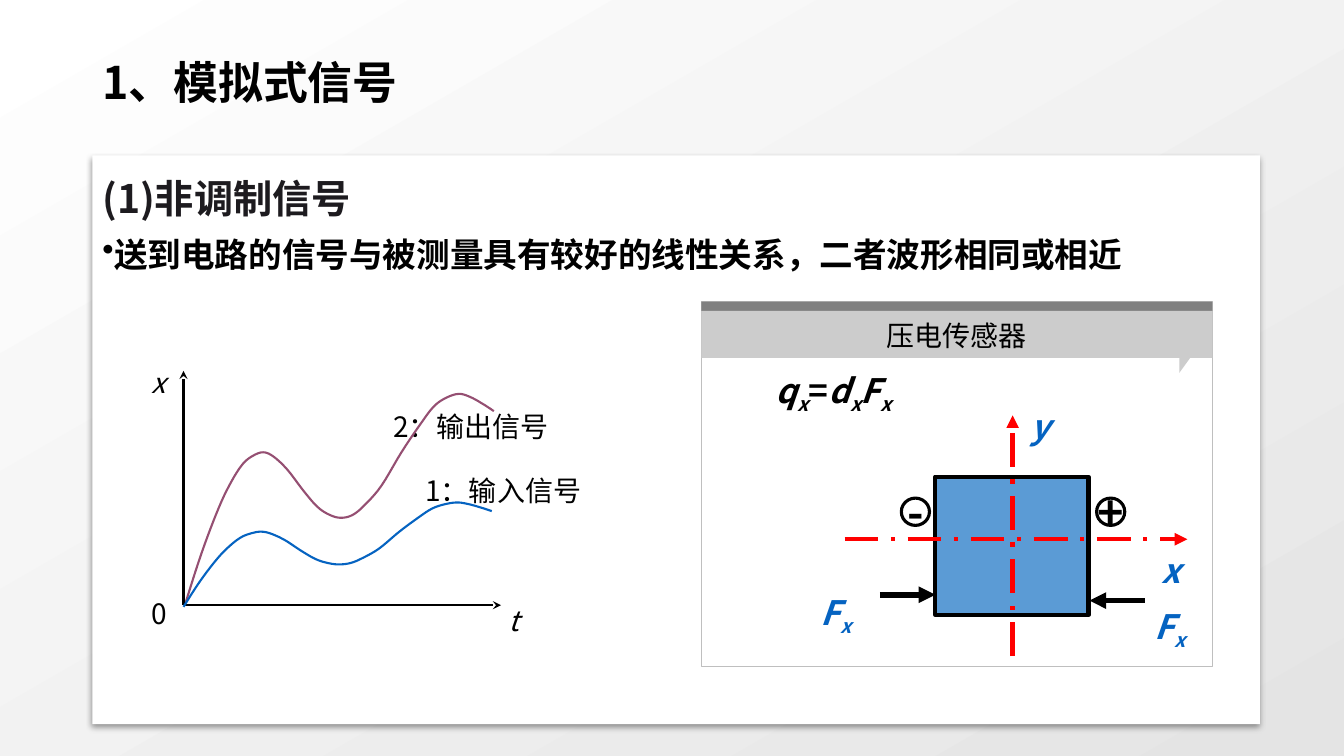
from dataclasses import dataclass

from lxml import etree
from pptx import Presentation
from pptx.dml.color import RGBColor
from pptx.enum.dml import MSO_LINE
from pptx.enum.shapes import MSO_CONNECTOR, MSO_SHAPE
from pptx.enum.text import MSO_ANCHOR, PP_ALIGN
from pptx.oxml.ns import qn
from pptx.util import Inches, Pt

RECTANGLE, OVAL = MSO_SHAPE.RECTANGLE, MSO_SHAPE.OVAL
STRAIGHT, DASH_DOT = MSO_CONNECTOR.STRAIGHT, MSO_LINE.LONG_DASH_DOT
LEFT, CENTER, JUSTIFY = PP_ALIGN.LEFT, PP_ALIGN.CENTER, PP_ALIGN.JUSTIFY
TOP, MIDDLE = MSO_ANCHOR.TOP, MSO_ANCHOR.MIDDLE

COLUMNS, ROWS = 32, 18
CELL = Inches(7.5) / ROWS
CURVE_STEPS = 5
WAVE = [
    (0, 0), (0.38, 1.18), (0.79, 2.26), (1.1, 2.9), (1.37, 3.31), (1.61, 3.5),
    (1.85, 3.58), (2.09, 3.48), (2.42, 3.17), (2.81, 2.66), (3.14, 2.28), (3.43, 2.09),
    (3.7, 2.02), (3.98, 2.09), (4.27, 2.33), (4.66, 2.78), (5.14, 3.58), (5.57, 4.22),
    (5.9, 4.66), (6.19, 4.87), (6.5, 4.97), (6.77, 4.9), (7.08, 4.73), (7.34, 4.56),
]


@dataclass(frozen=True)
class Theme:
    """Font, colours and type sizes of the slide."""
    font: str = "Noto Sans CJK SC"
    black: str = "000000"
    white: str = "FFFFFF"
    backdrop: str = "E4E4E4"
    heading: str = "1D1B1F"
    border: str = "BFBFBF"
    bar: str = "808080"
    header: str = "CCCCCC"
    output: str = "954F72"
    blue: str = "0563C1"
    crystal: str = "5B9BD5"
    red: str = "FF0000"
    title_size: int = 32
    heading_size: int = 28
    body_size: int = 24
    label_size: int = 20


THEME = Theme()


def cells(*lengths):
    """Turn grid lengths into slide units."""
    return [round(length * CELL) for length in lengths]


def rgb(color):
    """Read a colour of the theme."""
    return RGBColor.from_string(color)


def style_shape(shape, fill=None, line=None, width=1):
    """Set fill and outline and drop the shadow."""
    shape.shadow.inherit = False
    if fill:
        shape.fill.solid()
        shape.fill.fore_color.rgb = rgb(fill)
    else:
        shape.fill.background()
    if line:
        shape.line.color.rgb = rgb(line)
        shape.line.width = Pt(width)
    else:
        shape.line.fill.background()


def add_block(slide, kind, area, fill=None, line=None, width=1):
    """Add a preset shape."""
    shape = slide.shapes.add_shape(kind, *cells(*area))
    style_shape(shape, fill, line, width)
    return shape


def add_outline(slide, points, close, **style):
    """Add a freeform through grid points."""
    corners = [cells(*point) for point in points]
    builder = slide.shapes.build_freeform(*corners[0], scale=1.0)
    builder.add_line_segments(corners[1:], close=close)
    style_shape(builder.convert_to_shape(), **style)


def add_arrow(slide, start, end, color, width, head="triangle", dash=None):
    """Add a straight arrow."""
    arrow = slide.shapes.add_connector(STRAIGHT, *cells(*start, *end))
    arrow.line.color.rgb = rgb(color)
    arrow.line.width = Pt(width)
    if dash:
        arrow.line.dash_style = dash
    properties = arrow._element.spPr
    etree.SubElement(properties.find(qn("a:ln")), qn("a:tailEnd"), type=head)
    etree.SubElement(properties, qn("a:effectLst"))


def write(para, text, size, color=THEME.black, bold=False, italic=False, align=LEFT, spacing=None):
    """Write a paragraph where each letter after an underscore is a subscript."""
    para.alignment = align
    if spacing:
        para.line_spacing = spacing
    font = para.font
    font.size, font.bold = Pt(size), bold
    font.color.rgb = rgb(color)
    font.name = THEME.font
    properties = para._p.get_or_add_pPr().get_or_add_defRPr()
    etree.SubElement(properties, qn("a:ea"), typeface=THEME.font)
    if "_" not in text:
        font.italic = italic
        para.add_run().text = text
        return
    for index, part in enumerate(text.split("_")):
        pieces = [(part[:1], True), (part[1:2], False), (part[2:], False)] if index else [(part, False)]
        for piece, lowered in pieces:
            if piece:
                span = para.add_run()
                span.text = piece
                span.font.italic = italic and piece != "="
                if lowered:
                    span._r.get_or_add_rPr().set("baseline", "-25000")


def add_text(slide, area, text, size, inset=True, wrap=True, anchor=TOP, **style):
    """Add a text box with one paragraph and return its frame."""
    frame = slide.shapes.add_textbox(*cells(*area)).text_frame
    frame.word_wrap, frame.vertical_anchor = wrap, anchor
    if not inset:
        frame.margin_left = frame.margin_top = frame.margin_right = frame.margin_bottom = 0
    write(frame.paragraphs[0], text, size, **style)
    return frame


def smooth_wave(origin, gain):
    """Interpolate the waveform from an origin with a Catmull-Rom spline."""
    knots = [WAVE[0], *WAVE, WAVE[-1]]
    curve = []
    for a, b, c, d in zip(knots, knots[1:], knots[2:], knots[3:]):
        for step in range(CURVE_STEPS):
            t = step / CURVE_STEPS
            curve.append([
                q + t / 2 * (r - p + t * (2 * p - 5 * q + 4 * r - s + t * (3 * (q - r) + s - p)))
                for p, q, r, s in zip(a, b, c, d)
            ])
    curve.append(WAVE[-1])
    return [(origin[0] + x, origin[1] - gain * rise) for x, rise in curve]


def add_panel(slide):
    """Add the shadowed white panel with the title and the body text."""
    area = (2.2, 3.7, 27.8, 13.54)
    panel = add_block(slide, RECTANGLE, area, THEME.white)
    effects = panel._element.spPr.find(qn("a:effectLst"))
    shadow = etree.SubElement(effects, qn("a:outerShdw"), blurRad=str(Pt(4)), dist=str(Pt(3)),
                              dir="5400000", algn="t", rotWithShape="0")
    shade = etree.SubElement(shadow, qn("a:srgbClr"), val=THEME.black)
    etree.SubElement(shade, qn("a:alpha"), val="40000")
    add_text(slide, (2.2, 1.25, 27.8, 1.56), "1、模拟式信号", THEME.title_size,
             anchor=MIDDLE, bold=True, spacing=0.9)
    frame = add_text(slide, area, "(1)非调制信号", THEME.heading_size,
                     color=THEME.heading, bold=True, spacing=1.3)
    point = frame.add_paragraph()
    properties = point._p.get_or_add_pPr()
    properties.set("marL", "0")
    properties.set("indent", "0")
    etree.SubElement(properties, qn("a:buChar"), char="•")
    write(point, "送到电路的信号与被测量具有较好的线性关系，二者波形相同或相近", THEME.body_size,
          bold=True, spacing=1.3)


def add_card(slide):
    """Add the framed card with its header and formula."""
    left, top, width, height = 16.7, 7.18, 12.17, 8.69
    right, bar, base = left + width, 0.22, 8.52
    add_block(slide, RECTANGLE, (left, top, width, height), THEME.white, THEME.border)
    add_block(slide, RECTANGLE, (left, top, width, bar), THEME.bar)
    add_outline(slide, [(left, top + bar), (right, top + bar), (right, base), (28.34, base),
                        (28.08, 8.88), (28.08, base), (left, base)], True, fill=THEME.header)
    add_text(slide, (left, 7.46, width, 0.98), "压电传感器", THEME.label_size, align=CENTER)
    add_text(slide, (18.24, 8.69, 9.58, 1.22), "q_x=d_xF_x", THEME.body_size, bold=True, italic=True)


def add_graph(slide):
    """Add the axes, the two signal curves and their labels."""
    origin = (4.37, 14.41)
    for left, top, width, text, italic in [
        (10.13, 11.28, 4.22, "1：输入信号", False),
        (9.36, 9.74, 4.73, "2：输出信号", False),
        (3.6, 14.2, 0.5, "0", False),
        (3.6, 8.71, 0.48, "x", True),
        (12.1, 14.38, 0.65, "t", True),
    ]:
        add_text(slide, (left, top, width, 0.82), text, THEME.label_size, inset=False,
                 italic=italic, align=JUSTIFY)
    add_outline(slide, smooth_wave((4.42, 14.35), 1), False, line=THEME.output, width=1.5)
    for end in [(origin[0], 8.83), (11.93, origin[1])]:
        add_arrow(slide, origin, end, THEME.black, 1.5, "stealth")
    add_outline(slide, smooth_wave((4.37, 14.45), 0.5), False, line=THEME.blue, width=1.5)


def add_sensor(slide):
    """Add the crystal with its charges, axes and forces."""
    add_block(slide, RECTANGLE, (22.27, 11.35, 3.65, 3.29), THEME.crystal, THEME.black, 3)
    for left, sign in [(26.11, "+"), (21.46, "-")]:
        charge = add_block(slide, OVAL, (left, 11.86, 0.67, 0.65), line=THEME.black, width=2.25)
        charge.text_frame.word_wrap = False
        charge.text_frame.vertical_anchor = MIDDLE
        write(charge.text_frame.paragraphs[0], sign, THEME.title_size, bold=True, align=CENTER)
    for start, end in [((20.11, 12.84), (28.27, 12.84)), ((24.11, 15.62), (24.11, 9.89))]:
        add_arrow(slide, start, end, THEME.red, 3, dash=DASH_DOT)
    for start, end in [((20.95, 14.16), (22.27, 14.16)), ((27.26, 14.3), (25.94, 14.3))]:
        add_arrow(slide, start, end, THEME.black, 4)
    for left, top, width, text in [(24.29, 9.55, 0.96, "y"), (27.43, 12.98, 0.96, "x"),
                                   (19.3, 13.97, 1.25, "F_x"), (27.26, 14.3, 1.25, "F_x")]:
        add_text(slide, (left, top, width, 1.22), text, THEME.body_size, wrap=False,
                 color=THEME.blue, bold=True, italic=True)


def main():
    """Build the slide and save the deck."""
    deck = Presentation()
    deck.slide_width, deck.slide_height = cells(COLUMNS, ROWS)
    slide = deck.slides.add_slide(deck.slide_layouts[6])
    backdrop = slide.background.fill
    backdrop.gradient()
    backdrop.gradient_angle = 300
    for stop, color in zip(backdrop.gradient_stops, [THEME.white, THEME.backdrop]):
        stop.color.rgb = rgb(color)
    add_panel(slide)
    add_card(slide)
    add_graph(slide)
    add_sensor(slide)
    deck.save("out.pptx")


if __name__ == "__main__":
    main()
